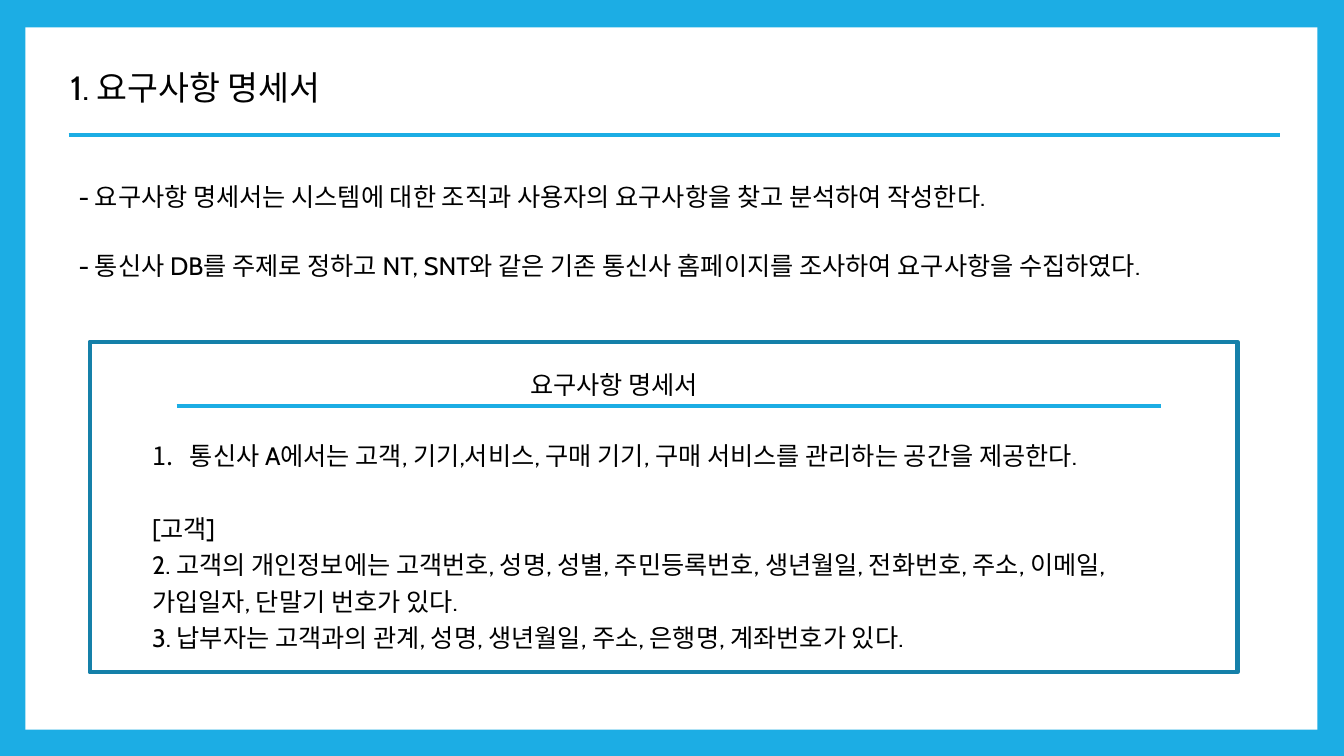
import pptx
import pptx.util
import pptx.dml.color
import pptx.enum.shapes
import pptx.enum.text
import pptx.oxml.ns
import lxml.etree

Cm = pptx.util.Cm
Pt = pptx.util.Pt
BLUE = pptx.dml.color.RGBColor(0x1C, 0xAD, 0xE4)
DARK_BLUE = pptx.dml.color.RGBColor(0x15, 0x80, 0xA9)
WHITE = pptx.dml.color.RGBColor(0xFF, 0xFF, 0xFF)
BLACK = pptx.dml.color.RGBColor(0x00, 0x00, 0x00)


def place(shape, left, top, width, height):
    box = {"left": left, "top": top, "width": width, "height": height}
    for name, value in box.items():
        setattr(shape, name, Cm(value))


def write(shape, lines, size, **paragraph_format):
    frame = shape.text_frame
    frame.text = "\n".join(lines)
    frame_format = {
        "word_wrap": True,
        "auto_size": pptx.enum.text.MSO_AUTO_SIZE.NONE,
        "vertical_anchor": pptx.enum.text.MSO_ANCHOR.TOP,
    }
    for name, value in frame_format.items():
        setattr(frame, name, value)
    paragraph_format = {
        "alignment": pptx.enum.text.PP_ALIGN.LEFT,
        "space_before": Pt(0),
        **paragraph_format,
    }
    for paragraph in frame.paragraphs:
        for name, value in paragraph_format.items():
            setattr(paragraph, name, value)
        font = paragraph.runs[0].font
        for name, value in {"name": "Cabin", "size": Pt(size)}.items():
            setattr(font, name, value)
        font.color.rgb = BLACK


presentation = pptx.Presentation()
presentation.slide_width = Cm(33.87)
presentation.slide_height = Cm(19.05)
slide = presentation.slides.add_slide(presentation.slide_layouts[1])
slide.background.fill.solid()
slide.background.fill.fore_color.rgb = BLUE
rectangle = pptx.enum.shapes.MSO_SHAPE.RECTANGLE

# White page, behind the placeholders
page = slide.shapes.add_shape(rectangle, Cm(0.64), Cm(0.69), Cm(32.56), Cm(17.7))
page.shadow.inherit = False
page.fill.solid()
page.fill.fore_color.rgb = WHITE
page.line.fill.background()
slide.shapes._spTree.insert(2, page._element)

# Title
title = slide.shapes.title
place(title, 1.52, 1.57, 22.4, 1.27)
write(title, ["1. 요구사항 명세서"], 24)

# Introductory statements
statements = [
    "- 요구사항 명세서는 시스템에 대한 조직과 사용자의 요구사항을 찾고 분석하여 작성한다.",
    "- 통신사 DB를 주제로 정하고 NT, SNT와 같은 기존 통신사 홈페이지를 조사하여 요구사항을 수집하였다.",
]
for index, statement in enumerate(statements):
    text_box = slide.shapes.add_textbox(
        Cm(1.73), Cm(4.45 + 1.73 * index), Cm(29.46), Cm(1.02))
    write(text_box, [statement], 18)

# Specification frame and its heading
frame = slide.shapes.add_shape(rectangle, Cm(2.26), Cm(8.61), Cm(28.93), Cm(8.33))
frame.shadow.inherit = False
frame.fill.background()
frame.line.color.rgb = DARK_BLUE
frame.line.width = Pt(3)
heading = slide.shapes.add_textbox(Cm(13.11), Cm(9.17), Cm(5.26), Cm(1.02))
write(heading, ["요구사항 명세서"], 18)

# Rules under the title and the heading
for left, right, top in [(1.73, 32.26, 3.4), (4.45, 29.26, 10.24)]:
    rule = slide.shapes.add_connector(
        pptx.enum.shapes.MSO_CONNECTOR.STRAIGHT, Cm(left), Cm(top), Cm(right), Cm(top))
    rule.line.color.rgb = BLUE
    rule.line.width = Pt(3)
    lxml.etree.SubElement(rule._element.spPr, pptx.oxml.ns.qn("a:effectLst"))

# Requirements list
requirements = slide.placeholders[1]
place(requirements, 3.58, 10.82, 25.73, 5.82)
write(requirements, [
    "통신사 A에서는 고객, 기기,서비스, 구매 기기, 구매 서비스를 관리하는 공간을 제공한다.",
    "[고객]",
    "2. 고객의 개인정보에는 고객번호, 성명, 성별, 주민등록번호, 생년월일, 전화번호, 주소, "
    "이메일, 가입일자, 단말기 번호가 있다.",
    "3. 납부자는 고객과의 관계, 성명, 생년월일, 주소, 은행명, 계좌번호가 있다.",
], 18, line_spacing=Pt(26))
requirements.text_frame.paragraphs[1].space_before = Pt(26)

# Only the first requirement is numbered automatically
for index, paragraph in enumerate(requirements.text_frame.paragraphs):
    properties = paragraph._p.get_or_add_pPr()
    indent = Cm(0.95) if index == 0 else 0
    properties.set("marL", str(indent))
    properties.set("indent", str(-indent))
    if index == 0:
        bullet = lxml.etree.SubElement(properties, pptx.oxml.ns.qn("a:buAutoNum"))
        bullet.set("type", "arabicPeriod")
    else:
        lxml.etree.SubElement(properties, pptx.oxml.ns.qn("a:buNone"))

presentation.save("out.pptx")
